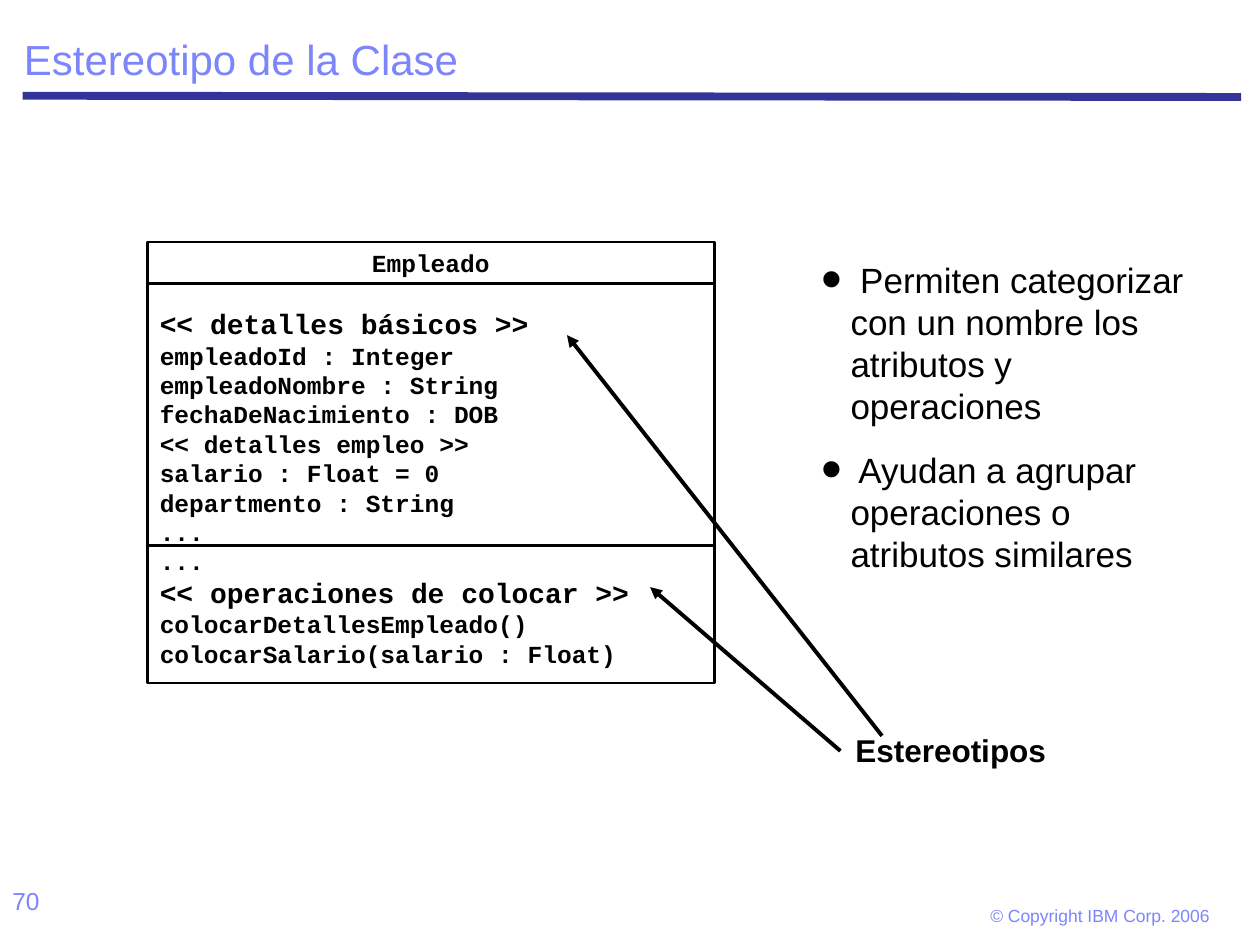
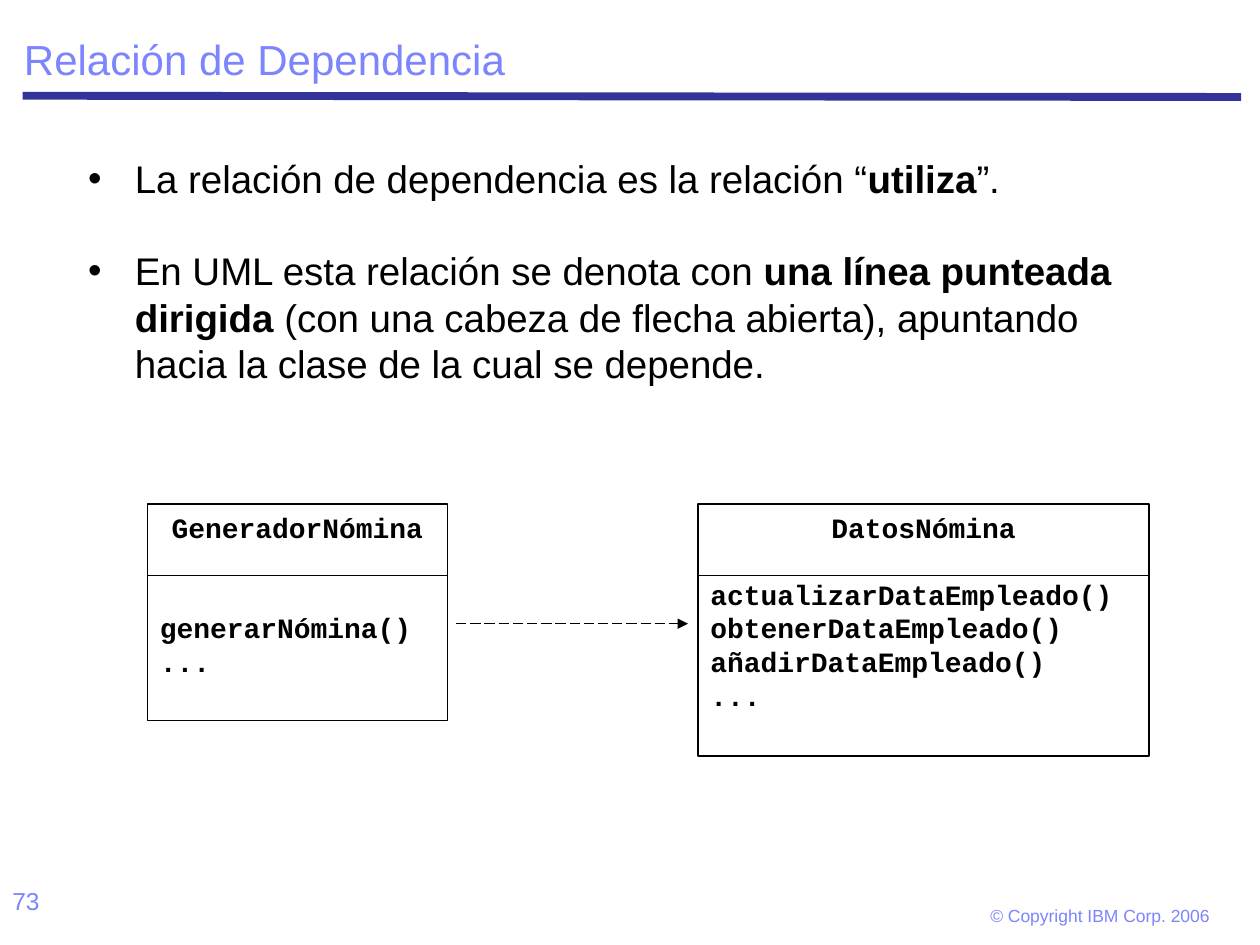
import pptx
import pptx.util
import pptx.dml.color
import pptx.enum.dml
import pptx.enum.shapes
import pptx.enum.text
import pptx.oxml.ns
from lxml import etree

Inches, Pt = pptx.util.Inches, pptx.util.Pt
ALIGN = pptx.enum.text.PP_ALIGN
ANCHOR = pptx.enum.text.MSO_ANCHOR
RECT = pptx.enum.shapes.MSO_SHAPE.RECTANGLE
DASH = pptx.enum.dml.MSO_LINE.LONG_DASH

COLORS = {"accent": "7C85FC", "band": "333399", "ink": "000000", "paper": "FFFFFF"}
SANS, MONO = "Arial", "Courier New"
LEADING = 1.2  # line height as a multiple of the text size


def color(name):
    return pptx.dml.color.RGBColor.from_string(COLORS[name])


def add_xml(parent, tag, **attrs):
    return etree.SubElement(parent, pptx.oxml.ns.qn(tag), attrs)


class Deck:
    def __init__(self):
        self.prs = pptx.Presentation()
        self.prs.slide_width, self.prs.slide_height = Inches(10), Inches(7.5)
        self.s = None

    def slide(self, title, number):
        """Start a slide with its title, band, page number and copyright line."""
        self.s = self.prs.slides.add_slide(self.prs.slide_layouts[1])
        self.line((0.18, 0.76), (9.85, 0.77), 4.5, "band")
        tf = self.place(self.s.shapes.title, 0.09, 0.09, 9.8, 0.63)
        tf.vertical_anchor = ANCHOR.BOTTOM
        self.para(tf, title, 24, ink="accent", leading=0.9)
        self.text(str(number), (0, 6.98, 2.33, 0.52), 14)
        tf = self.text("© Copyright IBM Corp. 2006", (7.71, 7.11, 2.04, 0.32), 10)
        tf.word_wrap = False
        tf.margin_left = tf.margin_right = Inches(0.15)
        tf.margin_top = tf.margin_bottom = Inches(0.07)

    def place(self, sp, left, top, width, height):
        sp.left, sp.top = Inches(left), Inches(top)
        sp.width, sp.height = Inches(width), Inches(height)
        tf = sp.text_frame
        tf.word_wrap = True
        tf.auto_size = pptx.enum.text.MSO_AUTO_SIZE.NONE
        return tf

    def para(self, tf, runs, size, font=SANS, ink="ink", bold=False,
             align=ALIGN.LEFT, before=0, leading=None, bullet=None):
        """Add a paragraph; runs is a string or a list of (text, bold) pairs."""
        p = tf.paragraphs[0]
        if p.runs:
            p = tf.add_paragraph()
        if bullet:
            indent, percent = bullet
            pPr = p._p.get_or_add_pPr()
            pPr.set("marL", str(Inches(indent)))
            pPr.set("indent", str(-Inches(indent)))
            add_xml(add_xml(pPr, "a:buClr"), "a:srgbClr", val=COLORS["ink"])
            add_xml(pPr, "a:buSzPct", val=str(percent * 1000))
            add_xml(pPr, "a:buFont", typeface=SANS)
            add_xml(pPr, "a:buChar", char="•")
        p.alignment = align
        p.line_spacing = leading or Pt(size * LEADING)
        p.space_before = Pt(before)
        p.font.name, p.font.size, p.font.bold = font, Pt(size), bold
        p.font.color.rgb = color(ink)
        for text, strong in [(runs, bold)] if isinstance(runs, str) else runs:
            r = p.add_run()
            r.text = text
            if strong != bold:
                r.font.bold = strong

    def text(self, text, box, size):
        sp = self.s.shapes.add_textbox(*map(Inches, box))
        tf = self.place(sp, *box)
        self.para(tf, text, size, ink="accent", leading=1.0)
        return tf

    def bullets(self, items, box, size, indent, gap, percent=100):
        tf = self.place(self.s.placeholders[1], *box)
        tf.vertical_anchor = ANCHOR.TOP
        for i, runs in enumerate(items):
            self.para(tf, runs, size, before=gap if i else 0, bullet=(indent, percent))

    def rect(self, box, weight=None, fill=None):
        sp = self.s.shapes.add_shape(RECT, *map(Inches, box))
        sp.shadow.inherit = False
        if fill:
            sp.fill.solid()
            sp.fill.fore_color.rgb = color(fill)
        else:
            sp.fill.background()
        if weight:
            sp.line.color.rgb = color("ink")
            sp.line.width = Pt(weight)
        else:
            sp.line.fill.background()
        tf = sp.text_frame
        tf.word_wrap = True
        tf.vertical_anchor = ANCHOR.TOP
        return sp

    def uml_class(self, name, members, box, dividers, size, weight, skip):
        """Class box; skip is the number of lines left free under the name."""
        tf = self.rect(box, weight).text_frame
        self.para(tf, name, size, MONO, bold=True, align=ALIGN.CENTER)
        for i, member in enumerate(members):
            text, member_size = member if isinstance(member, tuple) else (member, size)
            self.para(tf, text, member_size, MONO, bold=True,
                      before=0 if i else skip * size * LEADING)
        left, _, width, _ = box
        for y in dividers:
            self.line((left, y), (left + width, y), weight)

    def line(self, start, end, weight, ink="ink", arrow=False, dash=None):
        ends = [Inches(v) for v in (*start, *end)]
        cn = self.s.shapes.add_connector(pptx.enum.shapes.MSO_CONNECTOR.STRAIGHT, *ends)
        cn.line.color.rgb = color(ink)
        cn.line.width = Pt(weight)
        if dash:
            cn.line.dash_style = dash
        if arrow:
            add_xml(cn.line._get_or_add_ln(), "a:tailEnd", type="triangle")
        add_xml(cn._element.spPr, "a:effectLst")
        return cn


def stereotype_slide(d):
    d.slide("Estereotipo de la Clase", 70)
    # Class with stereotyped groups of members
    d.uml_class("Empleado", [
        ("<< detalles básicos >>", 16),
        "empleadoId : Integer",
        "empleadoNombre : String",
        "fechaDeNacimiento : DOB",
        "<< detalles empleo >>",
        "salario : Float = 0",
        "departmento : String",
        "...",
        "...",
        ("<< operaciones de colocar >>", 16),
        "colocarDetallesEmpleado()",
        "colocarSalario(salario : Float)",
    ], (1.17, 1.92, 4.5, 3.5), (2.25, 4.33), size=14, weight=1.5, skip=1)
    # Label and its arrows
    label = d.rect((6.67, 5.75, 1.75, 0.42), fill="paper")
    d.para(label.text_frame, "Estereotipos", 18, bold=True, align=ALIGN.CENTER)
    d.line((7, 5.84), (4.5, 2.66), 2.25, arrow=True)
    arrow = d.line((6.67, 5.96), (5.16, 4.66), 2.25, arrow=True)
    arrow.begin_connect(label, 1)
    # Purpose of stereotypes
    d.bullets([" Permiten categorizar con un nombre los atributos y operaciones",
               " Ayudan a agrupar operaciones o atributos similares"],
              (6.42, 2, 3.25, 2.28), 20, indent=0.23, gap=12.5, percent=170)


def dependency_slide(d):
    d.slide("Relación de Dependencia", 73)
    # Definition
    d.bullets([
        [("La relación de dependencia es la relación “", False),
         ("utiliza", True), ("”.", False)],
        [("En UML esta relación se denota con", False),
         (" una línea punteada dirigida", True),
         (" (con una cabeza de flecha abierta), apuntando hacia la clase "
          "de la cual se depende.", False)],
    ], (0.6, 1.18, 8.8, 2.4), 22, indent=0.37, gap=22 * LEADING)
    # Dependent class, the class it uses, and the dependency
    style = dict(dividers=(4.57,), size=16, weight=0.75)
    d.uml_class("GeneradorNómina", ["generarNómina()", "..."],
                (1.17, 4, 2.38, 1.72), skip=2, **style)
    d.uml_class("DatosNómina", ["actualizarDataEmpleado()", "obtenerDataEmpleado()",
                                "añadirDataEmpleado()", "..."],
                (5.54, 4, 3.58, 2), skip=1, **style)
    d.line((3.62, 4.95), (5.46, 4.95), 0.75, arrow=True, dash=DASH)


def main():
    d = Deck()
    stereotype_slide(d)
    dependency_slide(d)
    d.prs.save("out.pptx")


if __name__ == "__main__":
    main()
